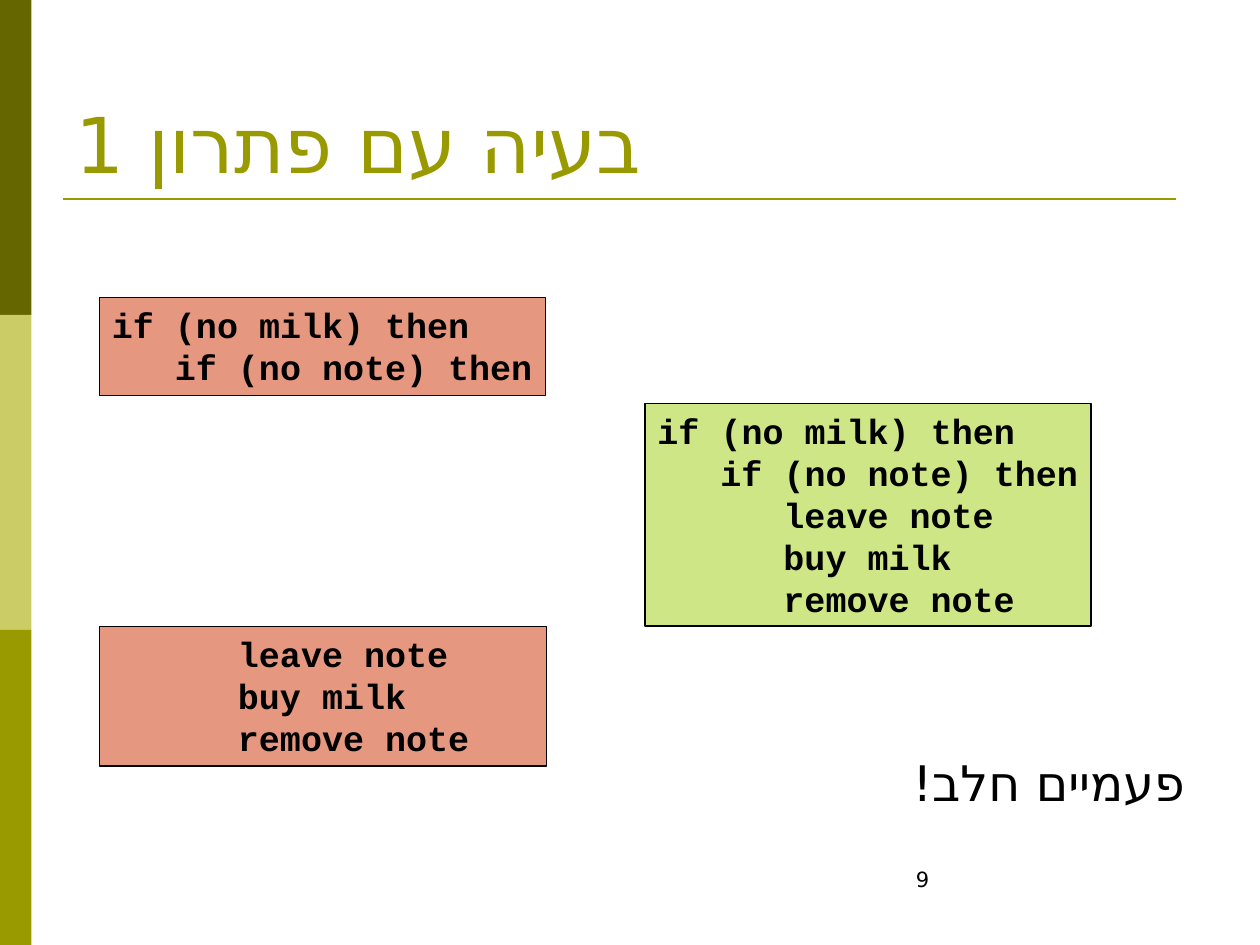
from lxml.etree import SubElement
from pptx import Presentation
from pptx.dml.color import RGBColor
from pptx.enum.shapes import MSO_CONNECTOR, MSO_SHAPE
from pptx.enum.text import MSO_ANCHOR, PP_ALIGN
from pptx.oxml.ns import qn
from pptx.util import Inches, Pt

COLUMNS, ROWS = 100, 75
OLIVE, DARK_OLIVE, PALE_OLIVE, BLACK = "999900", "666600", "CCCC66", "000000"
RED, GREEN = "CC3300", "99CC00"


def color(value):
    return RGBColor.from_string(value)


def apply_format(target, values):
    for name, value in values.items():
        setattr(target, name, value)


class SlideBuilder:
    code_font = {"name": "Courier New", "size": Pt(20), "bold": True}
    code_indent = Inches(0.5)
    frame_format = {
        "margin_left": Inches(0.1), "margin_right": Inches(0.1),
        "margin_top": Inches(0.05), "margin_bottom": Inches(0.05),
    }

    def __init__(self, presentation):
        self.column = presentation.slide_width / COLUMNS
        self.row = presentation.slide_height / ROWS
        self.slide = presentation.slides.add_slide(presentation.slide_layouts[6])

    def area(self, left, top, width, height):
        return (round(left * self.column), round(top * self.row),
                round(width * self.column), round(height * self.row))

    def rectangle(self, place, fill, opacity=None):
        shape = self.slide.shapes.add_shape(MSO_SHAPE.RECTANGLE, *self.area(*place))
        shape.shadow.inherit = False
        shape.fill.solid()
        shape.fill.fore_color.rgb = color(fill)
        shape.line.fill.background()
        if opacity:
            fill_color = shape.fill._xPr.find(qn("a:solidFill"))[0]
            SubElement(fill_color, qn("a:alpha"), val=str(opacity * 1000))
        return shape

    def rule(self, left, right, top, line_color, width):
        start_x, y, end_x, _ = self.area(left, top, right, 0)
        line = self.slide.shapes.add_connector(MSO_CONNECTOR.STRAIGHT, start_x, y, end_x, y)
        line.line.color.rgb = color(line_color)
        line.line.width = Pt(width)
        SubElement(line._element.spPr, qn("a:effectLst"))

    def text(self, place, words, font, text_color, align=PP_ALIGN.LEFT,
             anchor=MSO_ANCHOR.TOP, hebrew=False):
        frame = self.slide.shapes.add_textbox(*self.area(*place)).text_frame
        apply_format(frame, {**self.frame_format, "word_wrap": True, "vertical_anchor": anchor})
        paragraph = frame.paragraphs[0]
        paragraph.alignment = align
        run = paragraph.add_run()
        run.text = words
        apply_format(run.font, font)
        run.font.color.rgb = color(text_color)
        if hebrew:
            paragraph._p.get_or_add_pPr().set("rtl", "1")
            properties = run._r.get_or_add_rPr()
            properties.set("lang", "he-IL")
            SubElement(properties, qn("a:cs"), typeface="DejaVu Sans")

    def code(self, place, fill, opacity, lines):
        shape = self.rectangle(place, fill, opacity)
        shape.line.color.rgb = color(BLACK)
        shape.line.width = Pt(0.75)
        frame = shape.text_frame
        apply_format(frame, {**self.frame_format, "word_wrap": False,
                             "vertical_anchor": MSO_ANCHOR.TOP})
        for index, (level, words) in enumerate(lines):
            paragraph = frame.add_paragraph() if index else frame.paragraphs[0]
            paragraph.alignment = PP_ALIGN.LEFT
            paragraph._p.get_or_add_pPr().set("marL", str(level * self.code_indent))
            run = paragraph.add_run()
            run.text = words
            apply_format(run.font, self.code_font)
            run.font.color.rgb = color(BLACK)


def main():
    presentation = Presentation()
    apply_format(presentation, {"slide_width": Inches(10), "slide_height": Inches(7.5)})
    builder = SlideBuilder(presentation)

    band_height = ROWS / 3
    for index, fill in enumerate((DARK_OLIVE, PALE_OLIVE, OLIVE)):
        builder.rectangle((0, index * band_height, 2.5, band_height), fill)
    builder.rule(5, 93.3, 15.8, OLIVE, 1.5)

    builder.text((5, 3, 90, 12.5), "בעיה עם פתרון 1",
                 {"name": "Times New Roman", "size": Pt(44)}, OLIVE,
                 anchor=MSO_ANCHOR.BOTTOM, hebrew=True)
    builder.text((5, 59.2, 90, 7.8), "פעמיים חלב!",
                 {"name": "DejaVu Sans", "size": Pt(28)}, BLACK,
                 align=PP_ALIGN.RIGHT, hebrew=True)

    checks = [(0, "if (no milk) then"), (1, "if (no note) then")]
    actions = [(2, "leave note"), (2, "buy milk"), (2, "remove note")]
    builder.code((7.9, 23.6, 35.4, 7.8), RED, 50, checks)
    builder.code((51.2, 32, 35.4, 17.7), GREEN, 48, checks + actions)
    builder.code((7.9, 49.7, 35.5, 11.1), RED, 50, actions)

    builder.text((71.7, 68.3, 23.3, 5), "9",
                 {"name": "DejaVu Sans", "size": Pt(12)}, BLACK)
    presentation.save("out.pptx")


if __name__ == "__main__":
    main()
